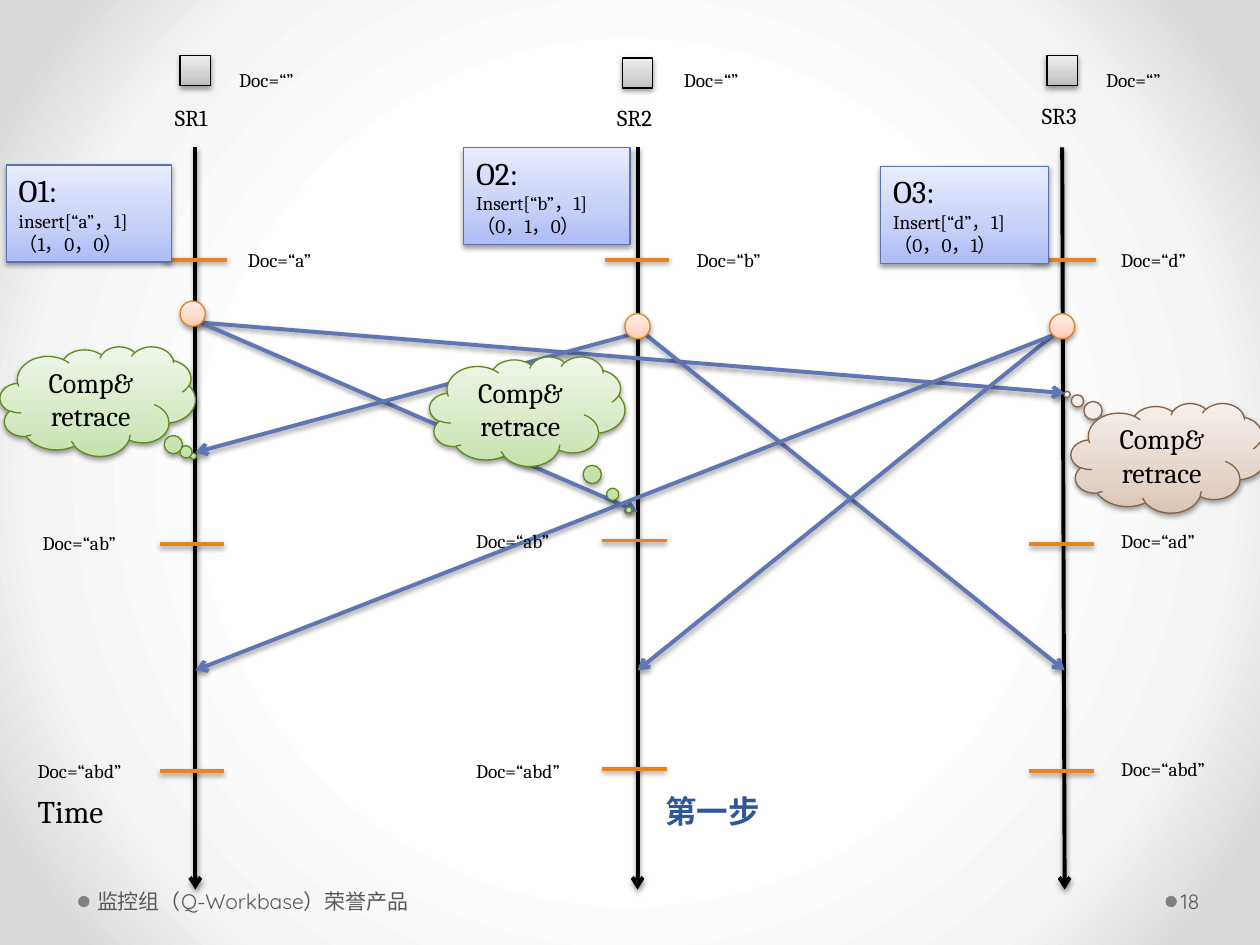
from pptx import Presentation
from pptx.dml.color import RGBColor
from pptx.enum.shapes import MSO_CONNECTOR, MSO_SHAPE
from pptx.enum.text import MSO_ANCHOR, PP_ALIGN
from pptx.oxml import parse_xml
from pptx.oxml.ns import nsdecls, qn
from pptx.util import Inches, Pt

SERIF, CJK, FOOTER_FONT = "Cambria", "Noto Sans CJK SC", "Quicksand"
COLORS = {
    "black": "000000", "message": "6076B4", "tick": "E68422", "step": "2F5897",
    "footer": "595959", "dot": "808080",
}
# Fill stops from bottom to top, then outline
STYLES = {
    "client": (("BDBDBD", "D1D1D1", "EEEEEE"), "000000"),
    "operation": (("ADBBF6", "C5CFF8", "E8ECFD"), "5C72B2"),
    "event": (("FFC9B1", "FFD8C8", "FFF0EA"), "E6811C"),
    "green": (("C5E1AB", "D6E9C5", "EFF7E9"), "62891C"),
    "brown": (("DAC4B4", "E4D5CB", "F5EFEB"), "836445"),
}
BACKDROP = [(50, "FFFFFF"), (76, "F4F4F4"), (92, "DADADA")]

# Each site: client square, name label, time axis (x at top, x at bottom), event centre
SITES = [
    ("SR1", (1.43, 0.44), (1.29, 0.77), (1.55, 1.55), (1.53, 2.49)),
    ("SR2", (4.94, 0.46), (4.80, 0.77), (5.06, 5.06), (5.06, 2.59)),
    ("SR3", (8.31, 0.44), (8.17, 0.76), (8.43, 8.45), (8.43, 2.59)),
]
AXIS_TOP, AXIS_BOTTOM = 1.17, 7.06
TICK_WIDTH = 0.51
TICKS = [  # left end, y
    (1.29, 2.06), (4.80, 2.06), (8.19, 2.06),
    (1.27, 4.32), (4.78, 4.29), (8.17, 4.32),
    (1.27, 6.12), (4.78, 6.10), (8.17, 6.12),
]
DOC_STATES = [  # content, left, top, width
    ("", 1.80, 0.49, 0.86), ("", 5.33, 0.49, 0.86), ("", 8.68, 0.49, 0.86),
    ("a", 1.87, 1.92, 0.94), ("b", 5.43, 1.92, 0.95), ("d", 8.80, 1.92, 0.95),
    ("ab", 0.24, 4.17, 1.02), ("ab", 3.68, 4.15, 1.02), ("ad", 8.80, 4.15, 1.03),
    ("abd", 0.20, 5.98, 1.12), ("abd", 3.68, 5.98, 1.12), ("abd", 8.80, 5.96, 1.12),
]
MESSAGES = [
    ((1.59, 2.56), (8.45, 3.12)), ((1.59, 2.56), (5.06, 4.06)),
    ((4.99, 2.66), (1.55, 3.59)), ((5.13, 2.66), (8.45, 5.32)),
    ((8.36, 2.66), (5.06, 5.32)), ((8.36, 2.66), (1.55, 5.32)),
]
OPERATIONS = [  # left, top, width, lines
    (0.05, 1.31, 1.31, ("O1:", "insert[“a”，1]", "（1，0，0）")),
    (3.68, 1.17, 1.32, ("O2:", "Insert[“b”，1]", "（0，1，0）")),
    (6.99, 1.32, 1.33, ("O3:", "Insert[“d”，1]", "（0，0，1）")),
]
CLOUDS = [  # left, top, pointer offset, style
    (8.50, 3.20, (-0.52, -0.58), "brown"),
    (0.00, 2.75, (0.49, 0.50), "green"),
    (3.41, 2.83, (0.52, 0.90), "green"),
]


def gradient(stops, direction):
    stop_xml = "".join(
        f'<a:gs pos="{pos * 1000}"><a:srgbClr val="{color}"/></a:gs>' for pos, color in stops)
    return (f'<a:gradFill {nsdecls("a")} rotWithShape="1"><a:gsLst>{stop_xml}</a:gsLst>'
            f'{direction}</a:gradFill>')


def add_shadow(shape):
    shape.element.spPr.append(parse_xml(
        f'<a:effectLst {nsdecls("a")}><a:outerShdw blurRad="{Pt(3.1)}" dist="{Pt(1.6)}" '
        'dir="5400000" rotWithShape="0"><a:srgbClr val="000000"><a:alpha val="38000"/>'
        '</a:srgbClr></a:outerShdw></a:effectLst>'))


def add_styled(kind, left, top, width, height, style):
    """Add a shape with a vertical gradient, thin outline and soft shadow."""
    colors, outline = STYLES[style]
    shape = slide.shapes.add_shape(
        kind, Inches(left), Inches(top), Inches(width), Inches(height))
    shape.line.color.rgb = RGBColor.from_string(outline)
    shape.line.width = Pt(0.75)
    fill = gradient(zip((0, 35, 100), colors), '<a:lin ang="16200000" scaled="1"/>')
    shape.element.spPr.find(qn("a:prstGeom")).addnext(parse_xml(fill))
    add_shadow(shape)
    return shape


def add_line(start, end, color, arrow=False):
    line = slide.shapes.add_connector(
        MSO_CONNECTOR.STRAIGHT, *(Inches(value) for value in (*start, *end)))
    line.line.color.rgb = RGBColor.from_string(COLORS[color])
    line.line.width = Pt(2.25)
    if arrow:
        line.element.spPr.find(qn("a:ln")).append(
            parse_xml(f'<a:tailEnd {nsdecls("a")} type="arrow"/>'))
    add_shadow(line)


def write(frame, lines, sizes, font=SERIF, color="black", bold=None, align=PP_ALIGN.LEFT):
    for index, (line, size) in enumerate(zip(lines, sizes)):
        paragraph = frame.paragraphs[0] if index == 0 else frame.add_paragraph()
        paragraph.alignment = align
        run = paragraph.add_run()
        run.text = line
        run.font.size, run.font.name, run.font.bold = Pt(size), font, bold
        run.font.color.rgb = RGBColor.from_string(COLORS[color])
        if font == CJK:
            run.font._element.find(qn("a:latin")).addnext(
                parse_xml(f'<a:ea {nsdecls("a")} typeface="{font}"/>'))


def add_label(text, left, top, width, height, size, **look):
    frame = slide.shapes.add_textbox(
        Inches(left), Inches(top), Inches(width), Inches(height)).text_frame
    frame.word_wrap = False
    write(frame, [text], [size], **look)
    return frame


def add_footer(text, dot_left, text_left, width, left_inset):
    dot = slide.shapes.add_shape(
        MSO_SHAPE.OVAL, Inches(dot_left), Inches(7.11), Inches(0.09), Inches(0.09))
    dot.shadow.inherit = False
    dot.fill.solid()
    dot.fill.fore_color.rgb = RGBColor.from_string(COLORS["dot"])
    dot.line.fill.background()
    frame = add_label(text, text_left, 6.95, width, 0.4, 12, font=FOOTER_FONT, color="footer")
    frame.word_wrap = True
    frame.vertical_anchor = MSO_ANCHOR.MIDDLE
    frame.margin_left = Inches(left_inset)


prs = Presentation()
prs.slide_width, prs.slide_height = Inches(10), Inches(7.5)
slide = prs.slides.add_slide(prs.slide_layouts[6])
backdrop = gradient(BACKDROP, '<a:path path="circle"><a:fillToRect l="50000" t="50000" '
                              'r="50000" b="50000"/></a:path>')
slide.element.cSld.insert(0, parse_xml(
    f'<p:bg {nsdecls("p", "a")}><p:bgPr>{backdrop}<a:effectLst/></p:bgPr></p:bg>'))

add_footer("监控组（Q-Workbase）荣誉产品", 0.62, 0.72, 3.11, 0.05)
add_footer("18", 9.25, 9.34, 0.61, 0.03)

for name, client, label, (axis_start, axis_end), _ in SITES:
    add_styled(MSO_SHAPE.RECTANGLE, *client, 0.24, 0.24, "client")
    add_label(name, *label, 0.51, 0.32, 13)
    add_line((axis_start, AXIS_TOP), (axis_end, AXIS_BOTTOM), "black", arrow=True)
for start, end in MESSAGES:
    add_line(start, end, "message", arrow=True)
for *_, (x, y) in SITES:
    add_styled(MSO_SHAPE.OVAL, x - 0.1, y - 0.1, 0.2, 0.2, "event")
for left, y in TICKS:
    add_line((left, y), (left + TICK_WIDTH, y), "tick")
for content, left, top, width in DOC_STATES:
    add_label(f"Doc=“{content}”", left, top, width, 0.29, 11)
add_label("Time", 0.2, 6.24, 0.77, 0.4, 18)
add_label("第一步", 5.18, 6.24, 0.96, 0.4, 18, font=CJK, color="step", bold=True)

for left, top, width, lines in OPERATIONS:
    box = add_styled(MSO_SHAPE.RECTANGLE, left, top, width, 0.77, "operation")
    box.text_frame.word_wrap = False
    box.text_frame.vertical_anchor = MSO_ANCHOR.TOP
    write(box.text_frame, lines, (18, 11, 11))
for left, top, pointer, style in CLOUDS:
    cloud = add_styled(MSO_SHAPE.CLOUD_CALLOUT, left, top, 1.55, 0.87, style)
    cloud.adjustments[0], cloud.adjustments[1] = pointer
    cloud.text_frame.vertical_anchor = MSO_ANCHOR.MIDDLE
    write(cloud.text_frame, ("Comp&", "retrace"), (16, 16), align=PP_ALIGN.CENTER)

prs.save("out.pptx")
